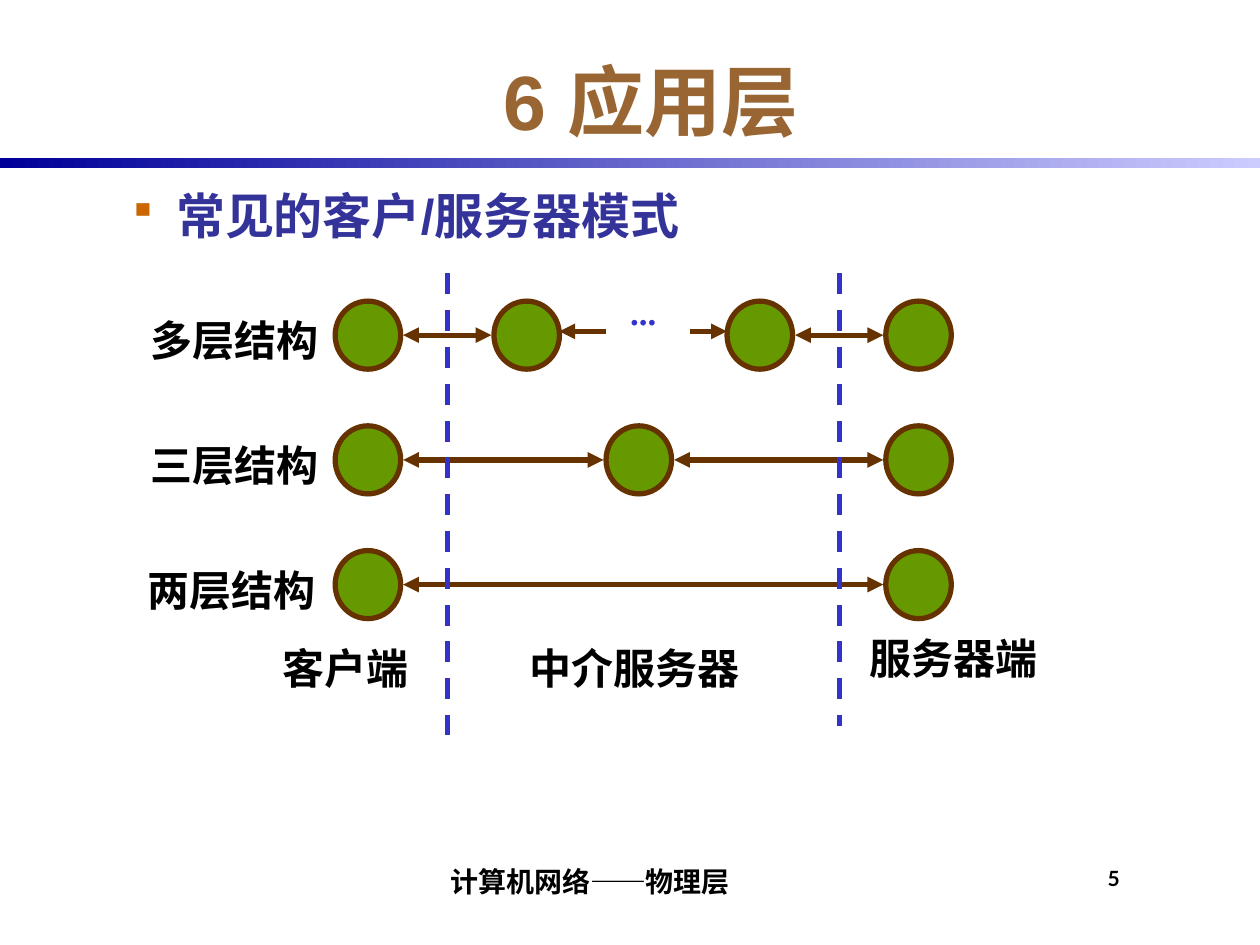
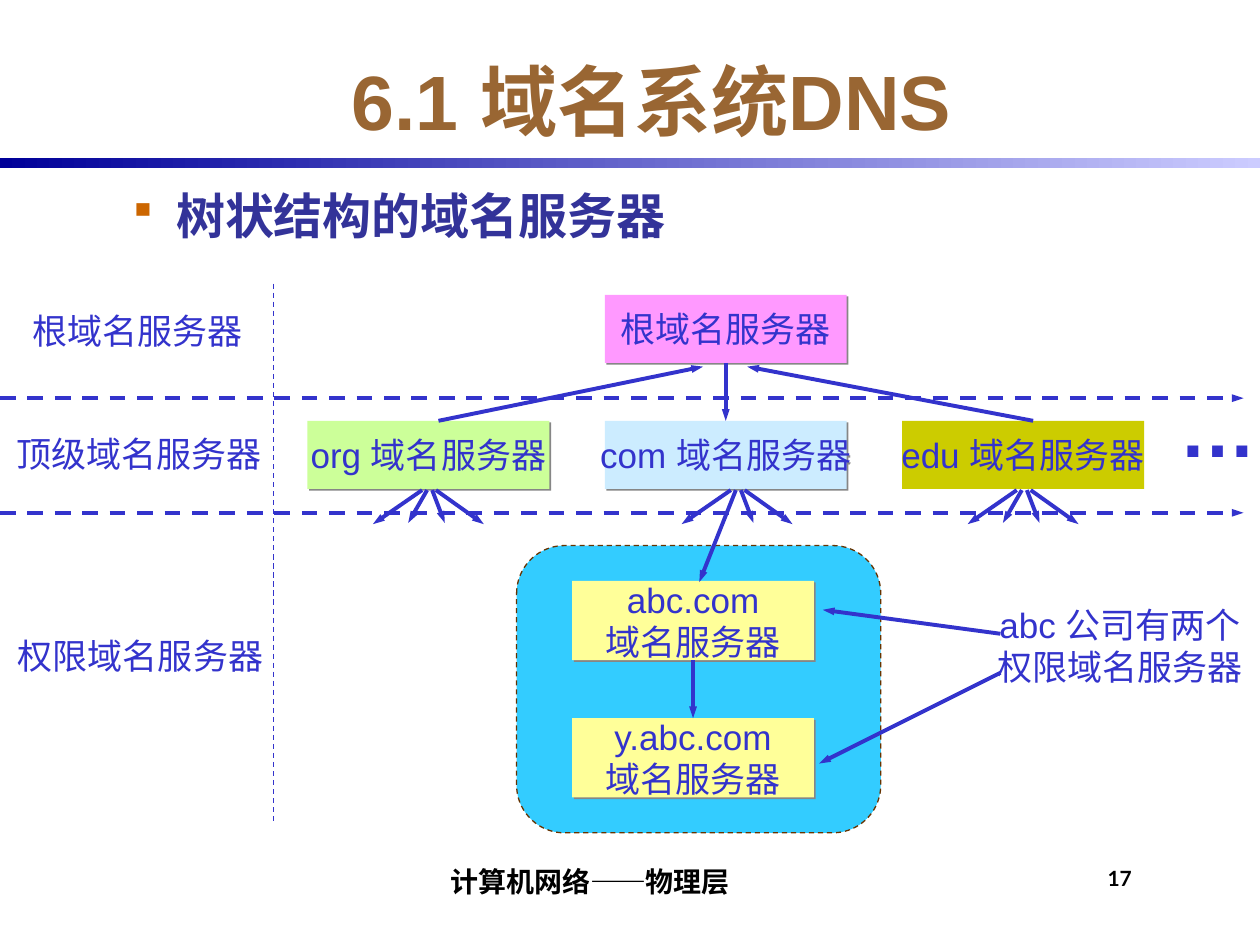
from lxml import etree
from pptx import Presentation
from pptx import util as u
from pptx.dml.color import RGBColor
from pptx.enum import dml, shapes, text
from pptx.oxml import ns

BROWN = RGBColor(0x99, 0x66, 0x33)
DARK_BROWN = RGBColor(0x66, 0x33, 0x00)
ORANGE = "CC6600"
NAVY = RGBColor(0x00, 0x00, 0x99)
INDIGO = RGBColor(0x33, 0x33, 0x99)
BLUE = RGBColor(0x33, 0x33, 0xCC)
LAVENDER = RGBColor(0xCC, 0xCC, 0xFF)
SKY = RGBColor(0x33, 0xCC, 0xFF)
PALE_BLUE = RGBColor(0xCC, 0xEC, 0xFF)
GREEN = RGBColor(0x66, 0x99, 0x00)
LIME = RGBColor(0xCC, 0xFF, 0x99)
OLIVE = RGBColor(0xCC, 0xCC, 0x00)
PINK = RGBColor(0xFF, 0x99, 0xFF)
YELLOW = RGBColor(0xFF, 0xFF, 0x99)
BLACK = RGBColor(0, 0, 0)
SHADOW = "868686"

CENTER, LEFT = text.PP_ALIGN.CENTER, text.PP_ALIGN.LEFT
TOP, MIDDLE, BOTTOM = text.MSO_ANCHOR.TOP, text.MSO_ANCHOR.MIDDLE, text.MSO_ANCHOR.BOTTOM
DASH = dml.MSO_LINE.DASH

deck = Presentation()
deck.slide_width, deck.slide_height = u.Inches(10), u.Inches(7.5)
COL, ROW = deck.slide_width / 10, deck.slide_height / 7.5


def write(slide, content, left, top, width, height, *, holder=None, fill=None, shadow=False,
          size=20, font="Arial", color=BLUE, bold=False, align=CENTER, anchor=MIDDLE,
          wrap=False, margins=(0.1, 0.05, 0.1, 0.05), bullet=None):
    place = [int(v) for v in (left * COL, top * ROW, width * COL, height * ROW)]
    if holder is not None:
        holder.left, holder.top, holder.width, holder.height = place
    elif fill is None:
        holder = slide.shapes.add_textbox(*place)
    else:
        holder = slide.shapes.add_shape(shapes.MSO_SHAPE.RECTANGLE, *place)
        holder.shadow.inherit = False
        holder.fill.solid()
        holder.fill.fore_color.rgb = fill
        holder.line.fill.background()
    if shadow:
        effects = holder.element.spPr.find(ns.qn("a:effectLst"))
        cast = etree.SubElement(effects, ns.qn("a:outerShdw"), dist="17780", dir="2700000")
        etree.SubElement(cast, ns.qn("a:srgbClr"), val=SHADOW)
    frame = holder.text_frame
    frame.word_wrap, frame.vertical_anchor = wrap, anchor
    frame.auto_size = text.MSO_AUTO_SIZE.NONE
    (frame.margin_left, frame.margin_top,
     frame.margin_right, frame.margin_bottom) = [u.Inches(m) for m in margins]
    frame.text = content
    for paragraph in frame.paragraphs:
        paragraph.alignment = align
        if bullet:
            props = paragraph._p.get_or_add_pPr()
            props.set("marL", str(u.Inches(0.38)))
            props.set("indent", str(-u.Inches(0.38)))
            tint = etree.SubElement(props, ns.qn("a:buClr"))
            etree.SubElement(tint, ns.qn("a:srgbClr"), val=ORANGE)
            etree.SubElement(props, ns.qn("a:buSzPct"), val="80000")
            etree.SubElement(props, ns.qn("a:buChar"), char=bullet)
        for run in paragraph.runs:
            run.font.size, run.font.name, run.font.bold = u.Pt(size), font, bold
            run.font.color.rgb = color
    return holder


def connect(slide, x1, y1, x2, y2, *, color=BLUE, weight=2.25, dash=None,
            head=False, tail=True, breadth="sm"):
    link = slide.shapes.add_connector(
        shapes.MSO_CONNECTOR.STRAIGHT,
        *[int(v) for v in (x1 * COL, y1 * ROW, x2 * COL, y2 * ROW)])
    link.line.color.rgb, link.line.width = color, u.Pt(weight)
    if dash:
        link.line.dash_style = dash
    outline = link.element.spPr.find(ns.qn("a:ln"))
    for end, wanted in (("a:headEnd", head), ("a:tailEnd", tail)):
        if wanted:
            etree.SubElement(outline, ns.qn(end), type="triangle", w=breadth, len="med")
    etree.SubElement(link.element.spPr, ns.qn("a:effectLst"))
    return link


pages = []
for title, topic, number in (("6 应用层", "常见的客户/服务器模式", "5"),
                             ("6.1 域名系统DNS", "树状结构的域名服务器", "17")):
    page = deck.slides.add_slide(deck.slide_layouts[5])
    band = page.shapes.add_shape(shapes.MSO_SHAPE.RECTANGLE, 0, int(1.25 * ROW),
                                 deck.slide_width, int(0.08 * ROW))
    band.shadow.inherit = False
    band.line.fill.background()
    band.fill.gradient()
    band.fill.gradient_angle = 0
    for stop, shade in zip(band.fill.gradient_stops, (NAVY, LAVENDER)):
        stop.color.rgb = shade
    write(page, title, 0.92, 0.33, 8.5, 0.92, holder=page.shapes.title,
          size=44, color=BROWN, bold=True, wrap=True)
    write(page, topic, 0.92, 1.42, 8.5, 5, size=28, color=INDIGO, bold=True,
          align=LEFT, anchor=TOP, wrap=True, bullet="▪")
    write(page, number, 8.75, 6.83, 0.58, 0.42, size=12, font="Lato", color=BLACK, bold=True,
          align=LEFT, anchor=TOP, wrap=True, margins=(0.04, 0.04, 0, 0))
    write(page, "计算机网络——物理层", 2.08, 6.75, 5.17, 0.42, size=16, font="Lato", color=BLACK,
          bold=True, anchor=BOTTOM, wrap=True, margins=(0.04, 0, 0, 0.04))
    pages.append(page)
modes, tree = pages

CLIENT, SERVER, REACH = 2.92, 7.29, 0.28
serif = dict(font="Times New Roman", bold=True)
arrow = dict(color=DARK_BROWN, weight=3, breadth="med")
tiers = (("多层结构", 1.1, (CLIENT, 4.18, 6.03, SERVER)),
         ("三层结构", 1.1, (CLIENT, 5.07, SERVER)),
         ("两层结构", 1.07, (CLIENT, SERVER)))
for row, (tier, label_left, nodes) in enumerate(tiers):
    middle = 2.66 + 0.99 * row
    write(modes, tier, label_left, middle - 0.21, 1.53, 0.5, size=24, color=BLACK, **serif)
    for x in nodes:
        node = modes.shapes.add_shape(
            shapes.MSO_SHAPE.OVAL, int((x - 0.26) * COL), int((middle - 0.27) * ROW),
            int(0.52 * COL), int(0.54 * ROW))
        node.shadow.inherit = False
        node.fill.solid()
        node.fill.fore_color.rgb = GREEN
        node.line.color.rgb, node.line.width = DARK_BROWN, u.Pt(3)
    for step, (here, following) in enumerate(zip(nodes, nodes[1:])):
        if len(nodes) == 4 and step == 1:
            connect(modes, 4.81, 2.63, 4.44, 2.63, **arrow)
            connect(modes, 5.48, 2.63, 5.77, 2.63, **arrow)
        else:
            connect(modes, here + REACH, middle, following - REACH, middle, head=True, **arrow)

write(modes, "...", 4.81, 2.25, 0.59, 0.44, wrap=True, **serif)
for x, bottom in ((3.55, 5.83), (6.66, 5.76)):
    connect(modes, x, 2.17, x, bottom, weight=3, dash=DASH, tail=False)
for zone, left, top, width in (("客户端", 2.14, 5.05, 1.2), ("中介服务器", 4.11, 5.05, 1.86),
                               ("服务器端", 6.8, 4.97, 1.53)):
    write(modes, zone, left, top, width, 0.5, size=24, color=BLACK, **serif)

company = tree.shapes.add_shape(shapes.MSO_SHAPE.ROUNDED_RECTANGLE, int(4.1 * COL),
                                int(4.33 * ROW), int(2.89 * COL), int(2.28 * ROW))
company.shadow.inherit = False
company.fill.solid()
company.fill.fore_color.rgb = SKY
company.line.color.rgb, company.line.width = DARK_BROWN, u.Pt(0.75)
company.line.dash_style = DASH

servers = {}
for name, branch, top, height, fill in (
        ("根域名服务器", 1, 2.34, 0.54, PINK),
        ("org 域名服务器", 0, 3.34, 0.54, LIME),
        ("com 域名服务器", 1, 3.34, 0.54, PALE_BLUE),
        ("edu 域名服务器", 2, 3.34, 0.54, OLIVE),
        ("abc.com\n域名服务器", 0.89, 4.61, 0.63, YELLOW),
        ("y.abc.com\n域名服务器", 0.89, 5.7, 0.63, YELLOW)):
    servers[name] = write(tree, name, 2.44 + 2.36 * branch, top, 1.92, height,
                          fill=fill, shadow=fill != OLIVE)

connect(tree, 3.48, 3.34, 5.58, 2.91)
connect(tree, 8.2, 3.34, 5.93, 2.91)
for upper, lower in (("根域名服务器", "com 域名服务器"),
                     ("abc.com\n域名服务器", "y.abc.com\n域名服务器")):
    descent = connect(tree, 5.76, 2.88, 5.76, 3.34)
    descent.begin_connect(servers[upper], 2)
    descent.end_connect(servers[lower], 0)

for hub in (3.4, 5.85, 8.12):
    for start, end, bottom in ((0.06, 0.44, 4.16), (0.03, 0.13, 4.15),
                               (-0.05, -0.44, 4.16), (-0.01, -0.16, 4.15)):
        if hub == 5.85 and end == -0.16:
            end, bottom = -0.3, 4.62
        connect(tree, hub + start, 3.89, hub + end, bottom)

for y in (3.16, 4.07):
    connect(tree, 0, y, 9.87, y, dash=DASH)
connect(tree, 2.17, 2.25, 2.17, 6.52, weight=0.75, dash=DASH, tail=False)
connect(tree, 7.94, 5.03, 6.53, 4.84)
connect(tree, 7.94, 5.34, 6.5, 6.06)
for note, left, top, width, height in (
        ("根域名服务器", 0.16, 2.41, 1.87, 0.44),
        ("顶级域名服务器", 0.03, 3.38, 2.15, 0.44),
        ("权限域名服务器", 0.04, 4.99, 2.15, 0.44),
        ("abc 公司有两个\n权限域名服务器", 7.8, 4.74, 2.18, 0.77)):
    write(tree, note, left, top, width, height, anchor=TOP)
write(tree, "…", 9.26, 2.97, 0.74, 0.84, size=44, bold=True, align=LEFT, anchor=TOP)

deck.save("out.pptx")
